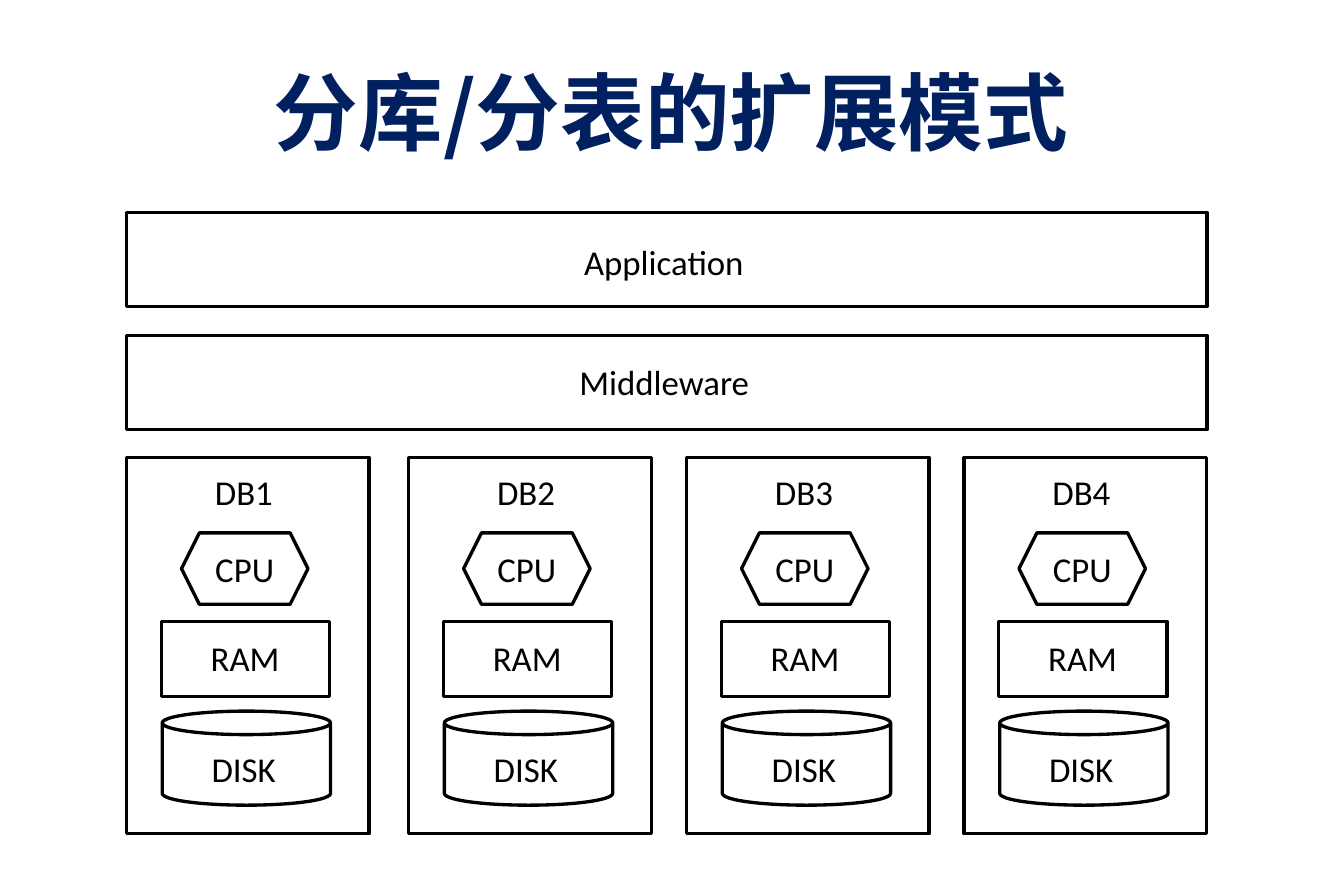
"""Builds a slide on scaling a database by splitting it into shards."""
import pptx
import pptx.dml.color
import pptx.enum.shapes
import pptx.enum.text
import pptx.oxml.ns
import pptx.util
from lxml import etree

Cm = pptx.util.Cm
SHAPE = pptx.enum.shapes.MSO_SHAPE
ALIGN = pptx.enum.text.PP_ALIGN
ANCHOR = pptx.enum.text.MSO_ANCHOR
AUTO = pptx.enum.text.MSO_AUTO_SIZE
BLACK = pptx.dml.color.RGBColor(0x00, 0x00, 0x00)
WHITE = pptx.dml.color.RGBColor(0xFF, 0xFF, 0xFF)
NAVY = pptx.dml.color.RGBColor(0x00, 0x20, 0x60)

LAYERS = [("Middleware", 7.14, 12.07, 7.54, 4.17),
          ("Application", 4.52, 12.17, 5.0, 3.94)]
DATABASE_LEFTS = [2.69, 8.69, 14.6, 20.5]
DATABASE_TOP = 9.73


class Diagram:
    """Holds the style and the current slide."""

    body_font = "Calibri"
    title_font = "Noto Sans CJK SC"
    body_size = 21
    title_size = 51
    line_width = 2

    def __init__(self, page):
        self.page = page

    def add_span(self, box, text, align=ALIGN.LEFT):
        para = box.text_frame.paragraphs[0]
        para.alignment = align
        span = para.add_run()
        span.text = text
        span.font.name = self.body_font
        span.font.size = pptx.util.Pt(self.body_size)
        span.font.color.rgb = BLACK
        return span

    def title(self, text, left, top, width, height):
        box = self.page.shapes.add_textbox(Cm(left), Cm(top), Cm(width), Cm(height))
        box.text_frame.word_wrap = True
        box.text_frame.vertical_anchor = ANCHOR.MIDDLE
        span = self.add_span(box, text, ALIGN.CENTER)
        span.font.name = self.title_font
        span.font.size = pptx.util.Pt(self.title_size)
        span.font.bold = True
        span.font.color.rgb = NAVY
        east_asian = etree.SubElement(span.font._element, pptx.oxml.ns.qn("a:ea"))
        east_asian.set("typeface", self.title_font)

    def outline(self, shapes, kind, left, top, width, height, text=None):
        shape = shapes.add_shape(kind, Cm(left), Cm(top), Cm(width), Cm(height))
        shape.shadow.inherit = False
        shape.fill.solid()
        shape.fill.fore_color.rgb = WHITE
        shape.line.color.rgb = BLACK
        shape.line.width = pptx.util.Pt(self.line_width)
        if text:
            shape.text_frame.word_wrap = False
            shape.text_frame.vertical_anchor = ANCHOR.MIDDLE
            self.add_span(shape, text, ALIGN.CENTER)

    def label(self, shapes, text, left, top, width):
        box = shapes.add_textbox(Cm(left), Cm(top), Cm(width), Cm(1.14))
        box.text_frame.word_wrap = False
        box.text_frame.auto_size = AUTO.SHAPE_TO_FIT_TEXT
        self.add_span(box, text)

    def database(self, name, left, top):
        shapes = self.page.shapes.add_group_shape().shapes
        self.outline(shapes, SHAPE.RECTANGLE, left, top, 5.16, 8)
        self.outline(shapes, SHAPE.RECTANGLE, left + 0.74, top + 3.48, 3.58, 1.6)
        self.outline(shapes, SHAPE.CAN, left + 0.76, top + 5.39, 3.58, 2)
        self.outline(shapes, SHAPE.HEXAGON, left + 1.17, top + 1.6, 2.69, 1.52, "CPU")
        self.label(shapes, "DISK", left + 1.56, top + 6.05, 1.88)
        self.label(shapes, "RAM", left + 1.54, top + 3.68, 1.98)
        self.label(shapes, name, left + 1.63, top + 0.16, 1.75)


def main():
    deck = pptx.Presentation()
    deck.slide_width = Cm(28.58)
    deck.slide_height = Cm(19.05)
    page = deck.slides.add_slide(deck.slide_layouts[6])
    diagram = Diagram(page)
    diagram.title("分库/分表的扩展模式", 1.42, 0.76, 25.7, 3.18)
    for number, left in enumerate(DATABASE_LEFTS, 1):
        diagram.database(f"DB{number}", left, DATABASE_TOP)
    for name, top, text_left, text_top, text_width in LAYERS:
        diagram.outline(page.shapes, SHAPE.RECTANGLE, 2.69, top, 22.98, 2)
        diagram.label(page.shapes, name, text_left, text_top, text_width)
    deck.save("out.pptx")


if __name__ == "__main__":
    main()
